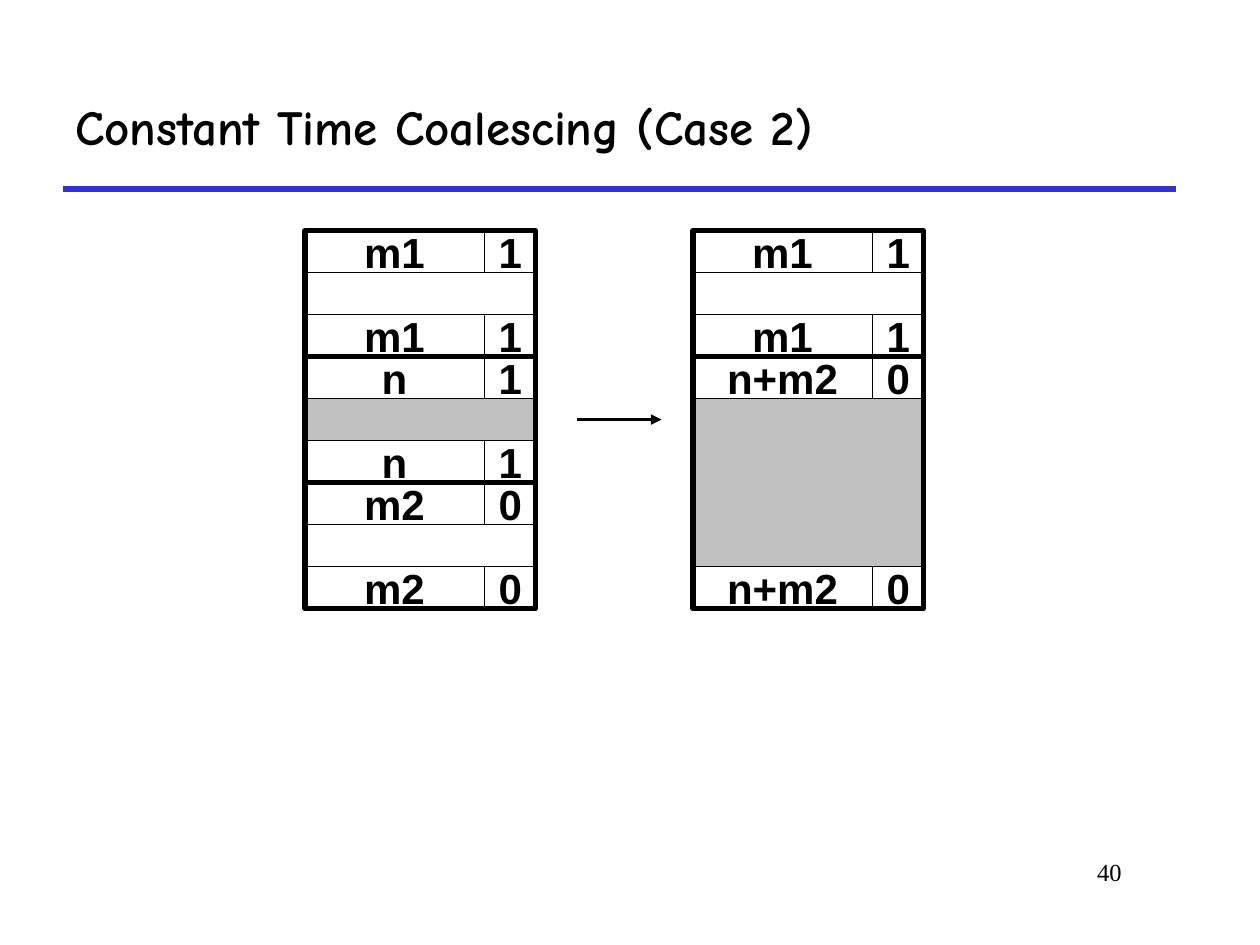
import pptx
import pptx.dml.color
import pptx.enum.shapes
import pptx.enum.text
import pptx.oxml.ns
import pptx.util
from lxml import etree
from pptx.util import Inches

COLORS = {"ink": "000000", "free": "C0C0C0", "plain": "FFFFFF", "rule": "3333CC"}
ROW = 1 / 3
SIZE_WIDTH = 1.42
FLAG_WIDTH = 0.42
BLOCK_WIDTH = 1.83
HEAP_TOP = 1.83
ALIGN = pptx.enum.text.PP_ALIGN
ANCHOR = pptx.enum.text.MSO_ANCHOR


def rgb(name):
    """Return the palette colour called name."""
    return pptx.dml.color.RGBColor.from_string(COLORS[name])


def write(frame, text, size=24, font="Arial", bold=True, align=ALIGN.CENTER,
          anchor=ANCHOR.MIDDLE, wrap=False):
    """Put formatted text into a text frame."""
    frame.word_wrap = wrap
    frame.vertical_anchor = anchor
    paragraph = frame.paragraphs[0]
    paragraph.alignment = align
    run = paragraph.add_run()
    run.text = text
    run.font.size = pptx.util.Pt(size)
    run.font.name = font
    run.font.bold = bold
    run.font.color.rgb = rgb("ink")


def add_label(slide, text, left, top, width, height, **text_format):
    """Add a wrapping text box."""
    label = slide.shapes.add_textbox(
        Inches(left), Inches(top), Inches(width), Inches(height))
    write(label.text_frame, text, wrap=True, **text_format)


def add_box(slide, left, top, width, height, fill=None, weight=0.26, text=None):
    """Add an outlined rectangle, with optional fill and text."""
    box = slide.shapes.add_shape(
        pptx.enum.shapes.MSO_SHAPE.RECTANGLE,
        Inches(left), Inches(top), Inches(width), Inches(height))
    box.shadow.inherit = False
    if fill:
        box.fill.solid()
        box.fill.fore_color.rgb = rgb(fill)
    else:
        box.fill.background()
    box.line.color.rgb = rgb("ink")
    box.line.width = pptx.util.Pt(weight)
    if text:
        write(box.text_frame, text)


def add_line(slide, start, end, y, color, weight, arrow=False):
    """Add a horizontal line, with an arrowhead at its end if asked."""
    line = slide.shapes.add_connector(
        pptx.enum.shapes.MSO_CONNECTOR.STRAIGHT,
        Inches(start), Inches(y), Inches(end), Inches(y))
    line.line.color.rgb = rgb(color)
    line.line.width = pptx.util.Pt(weight)
    qn = pptx.oxml.ns.qn
    if arrow:
        etree.SubElement(line.line._get_or_add_ln(), qn("a:tailEnd"), type="triangle")
    etree.SubElement(line._element.spPr, qn("a:effectLst"))


def add_block(slide, left, top, size, flag, rows, body):
    """Add a memory block: header, body, footer and a heavy frame."""
    for tag_top in (top, top + (rows - 1) * ROW):
        add_box(slide, left, tag_top, SIZE_WIDTH, ROW, "plain", text=size)
        add_box(slide, left + SIZE_WIDTH, tag_top, FLAG_WIDTH, ROW, "plain", text=flag)
    add_box(slide, left, top + ROW, BLOCK_WIDTH, (rows - 2) * ROW, body)
    add_box(slide, left, top, BLOCK_WIDTH, rows * ROW, weight=3)


def add_heap(slide, left, blocks):
    """Stack memory blocks from the top of the heap down."""
    top = HEAP_TOP
    for size, flag, rows, body in blocks:
        add_block(slide, left, top, size, flag, rows, body)
        top += rows * ROW


def main():
    """Build and save the slide."""
    deck = pptx.Presentation()
    deck.slide_width, deck.slide_height = Inches(10), Inches(7.5)
    slide = deck.slides.add_slide(deck.slide_layouts[6])

    add_label(slide, "Constant Time Coalescing (Case 2)", 0.5, 0.5, 8.83, 1,
              size=28, font="Comic Neue", align=ALIGN.LEFT)
    add_line(slide, 0.5, 9.33, 1.5, "rule", 3)

    add_heap(slide, 2.42, [("m1", "1", 3, "plain"),
                           ("n", "1", 3, "free"),
                           ("m2", "0", 3, "plain")])
    add_line(slide, 4.58, 5.25, 3.33, "ink", 2, arrow=True)
    add_heap(slide, 5.5, [("m1", "1", 3, "plain"),
                          ("n+m2", "0", 6, "free")])

    add_label(slide, "40", 7.58, 6.75, 1.42, 0.5, size=14, font="Times New Roman",
              bold=False, align=ALIGN.RIGHT, anchor=ANCHOR.TOP)
    deck.save("out.pptx")


main()
